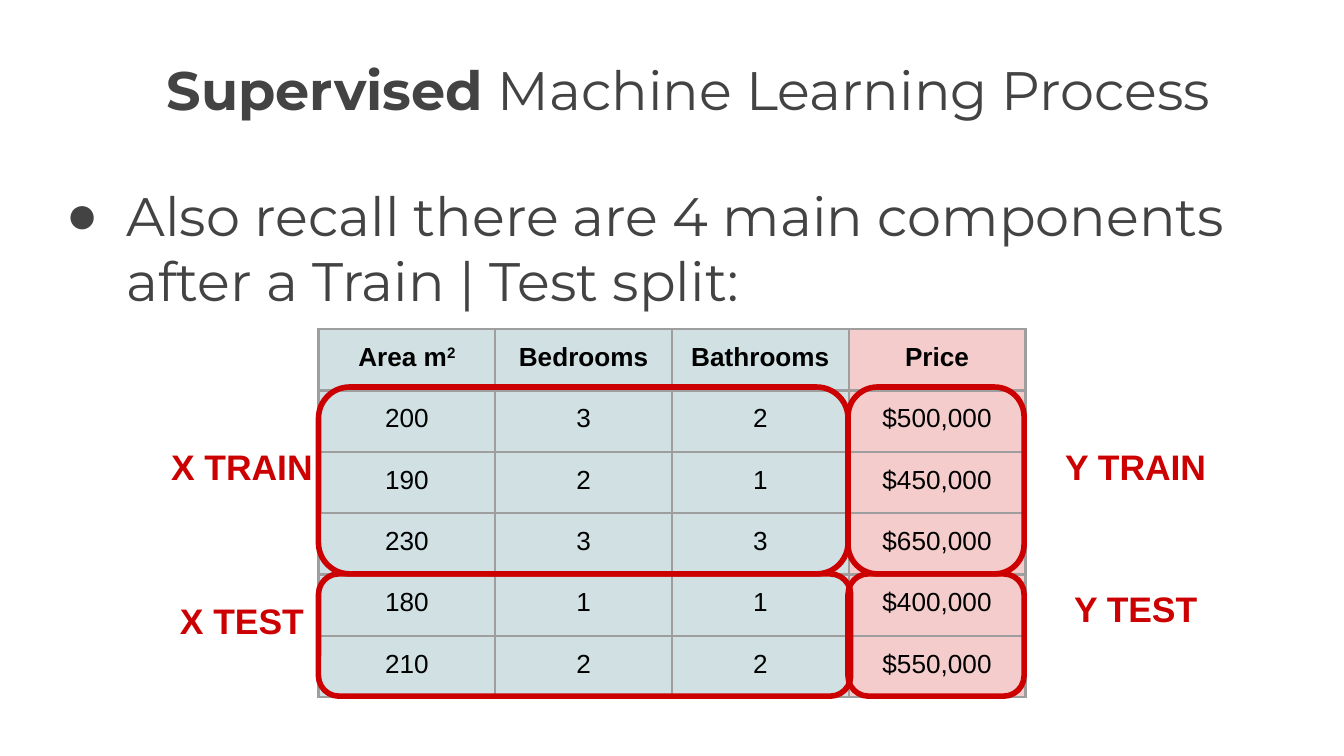
from dataclasses import dataclass

from lxml.etree import SubElement
from pptx import Presentation
from pptx.dml.color import RGBColor
from pptx.enum.shapes import MSO_SHAPE
from pptx.enum.text import MSO_ANCHOR, MSO_AUTO_SIZE, PP_ALIGN
from pptx.oxml import parse_xml
from pptx.oxml.ns import nsdecls, qn
from pptx.util import Inches, Pt


@dataclass(frozen=True)
class Theme:
    heading_font: str = "Montserrat"
    data_font: str = "Arial"
    text: str = "434343"
    cell_text: str = "000000"
    feature_fill: str = "D0E0E3"
    target_fill: str = "F4CCCC"
    grid: str = "9E9E9E"
    accent: str = "CC0000"
    heading_size: int = 29
    label_size: int = 19
    cell_size: int = 14
    grid_width: float = 1.5
    outline_width: float = 3


THEME = Theme()

HOUSES = [
    ("Area m", "Bedrooms", "Bathrooms", "Price"),
    ("200", "3", "2", "$500,000"),
    ("190", "2", "1", "$450,000"),
    ("230", "3", "3", "$650,000"),
    ("180", "1", "1", "$400,000"),
    ("210", "2", "2", "$550,000"),
]

# Boxes are left, top, width, height in inches
TITLE_BOX = (1.14, 0.32, 8.52, 0.63)
BODY_BOX = (0.34, 1.26, 9.5, 3.74)
TABLE_BOX = (2.37, 2.45, 5.26, 2.74)
SPLITS = [
    ("X TRAIN", (2.37, 2.88, 3.94, 1.39), (1.07, 3.21)),
    ("X TEST", (2.37, 4.27, 3.96, 0.91), (1.07, 4.36)),
    ("Y TRAIN", (6.31, 2.88, 1.31, 1.39), (7.72, 3.21)),
    ("Y TEST", (6.31, 4.27, 1.31, 0.91), (7.72, 4.27)),
]
LABEL_SIZE = (1.46, 0.74)


def style(paragraph, family, size, color, bold=None):
    font = paragraph.font
    font.name, font.size, font.bold = family, Pt(size), bold
    font.color.rgb = RGBColor.from_string(color)


def prepare_frame(frame):
    frame.word_wrap = True
    frame.auto_size = MSO_AUTO_SIZE.NONE
    frame.vertical_anchor = MSO_ANCHOR.TOP
    frame.margin_left = frame.margin_right = Inches(0.1)
    frame.margin_top = frame.margin_bottom = Inches(0.1)


def place(placeholder, box):
    placeholder.left, placeholder.top, placeholder.width, placeholder.height = map(Inches, box)
    prepare_frame(placeholder.text_frame)
    return placeholder.text_frame.paragraphs[0]


def fill_title(slide, box):
    heading = place(slide.shapes.title, box)
    heading.alignment = PP_ALIGN.LEFT
    heading.space_after = Pt(16)
    for words, bold in (("Supervised", True), (" Machine Learning Process", False)):
        run = heading.add_run()
        run.text = words
        run.font.bold = bold
    style(heading, THEME.heading_font, THEME.heading_size, THEME.text)


def fill_body(slide, box):
    point = place(slide.placeholders[1], box)
    point.text = "Also recall there are 4 main components after a Train | Test split:"
    point.space_before = Pt(0)
    properties = point._p.get_or_add_pPr()
    properties.set("marL", str(Inches(0.5)))
    properties.set("indent", str(Inches(-0.45)))
    bullet_color = SubElement(properties, qn("a:buClr"))
    SubElement(bullet_color, qn("a:srgbClr"), val=THEME.text)
    SubElement(properties, qn("a:buFont"), typeface=THEME.data_font)
    SubElement(properties, qn("a:buChar"), char="●")
    style(point, THEME.heading_font, THEME.heading_size, THEME.text)


def add_borders(cell):
    """Draw all four grid lines, which must come before the cell's fill."""
    properties = cell._tc.get_or_add_tcPr()
    for index, side in enumerate(("lnL", "lnR", "lnT", "lnB")):
        properties.insert(index, parse_xml(
            f'<a:{side} {nsdecls("a")} w="{Pt(THEME.grid_width)}"><a:solidFill>'
            f'<a:srgbClr val="{THEME.grid}"/></a:solidFill></a:{side}>'))


def add_house_table(slide, box):
    row_count, column_count = len(HOUSES), len(HOUSES[0])
    table = slide.shapes.add_table(row_count, column_count, *map(Inches, box)).table
    table.first_row = table.horz_banding = False
    for row, values in enumerate(HOUSES):
        for column, value in enumerate(values):
            cell = table.cell(row, column)
            cell.margin_left = cell.margin_right = Inches(0.1)
            cell.margin_top = cell.margin_bottom = Inches(0.1)
            is_target = column == column_count - 1
            cell.fill.solid()
            cell.fill.fore_color.rgb = RGBColor.from_string(
                THEME.target_fill if is_target else THEME.feature_fill)
            add_borders(cell)
            entry = cell.text_frame.paragraphs[0]
            entry.text = value
            entry.alignment = PP_ALIGN.CENTER
            style(entry, THEME.data_font, THEME.cell_size, THEME.cell_text, row == 0)
    exponent = table.cell(0, 0).text_frame.paragraphs[0].add_run()
    exponent.text = "2"
    exponent._r.get_or_add_rPr().set("baseline", "30000")


def add_split(slide, name, outline_box, label_corner):
    outline = slide.shapes.add_shape(MSO_SHAPE.ROUNDED_RECTANGLE, *map(Inches, outline_box))
    outline.adjustments[0] = 0.167
    outline.shadow.inherit = False
    outline.fill.background()
    outline.line.color.rgb = RGBColor.from_string(THEME.accent)
    outline.line.width = Pt(THEME.outline_width)

    label = slide.shapes.add_textbox(*map(Inches, label_corner + LABEL_SIZE))
    prepare_frame(label.text_frame)
    caption = label.text_frame.paragraphs[0]
    caption.text = name
    caption.alignment = PP_ALIGN.CENTER
    style(caption, THEME.data_font, THEME.label_size, THEME.accent, True)


def main():
    deck = Presentation()
    deck.slide_width = Inches(10)
    deck.slide_height = deck.slide_width * 9 // 16
    slide = deck.slides.add_slide(deck.slide_layouts[1])
    fill_title(slide, TITLE_BOX)
    fill_body(slide, BODY_BOX)
    add_house_table(slide, TABLE_BOX)
    for split in SPLITS:
        add_split(slide, *split)
    deck.save("out.pptx")


if __name__ == "__main__":
    main()
